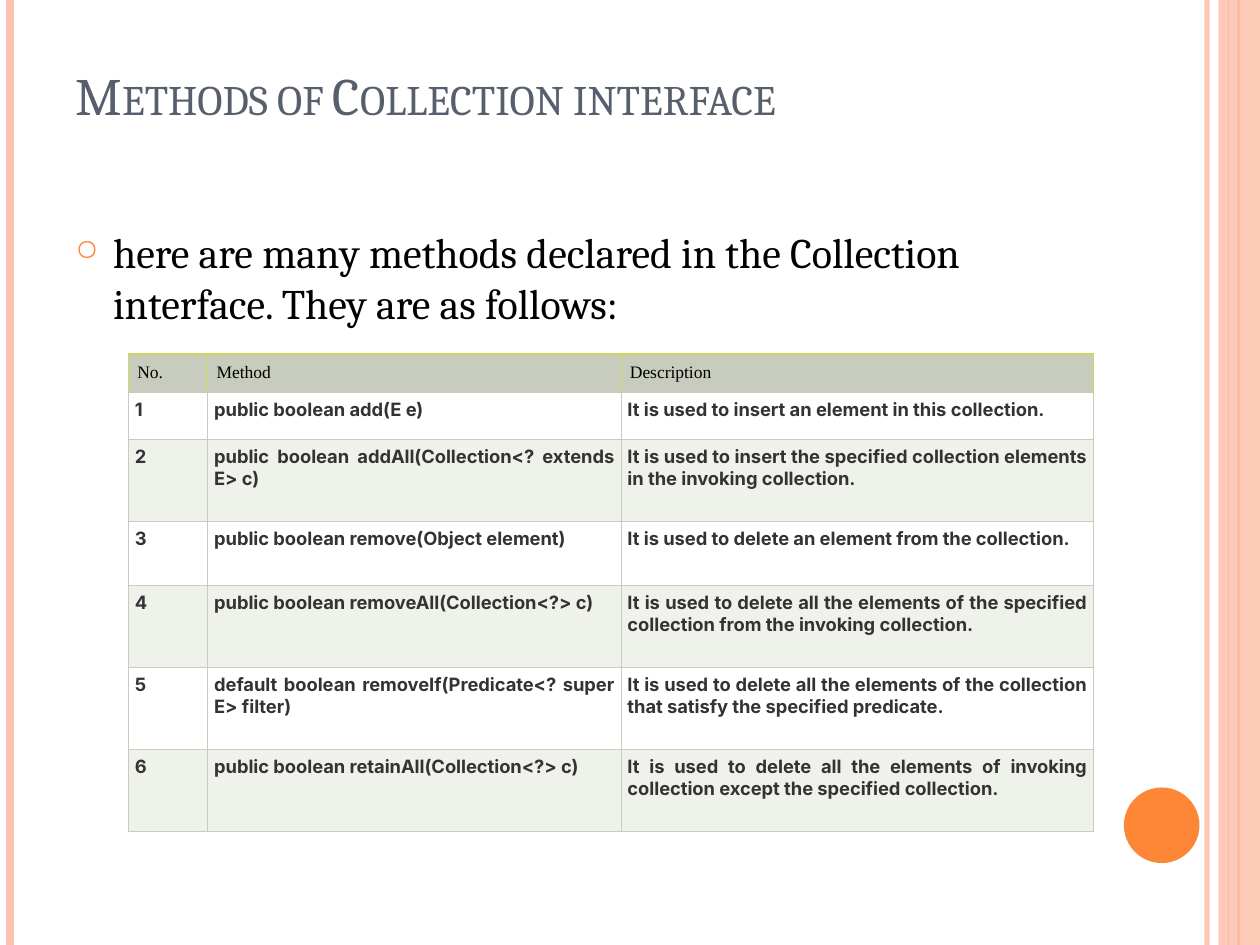
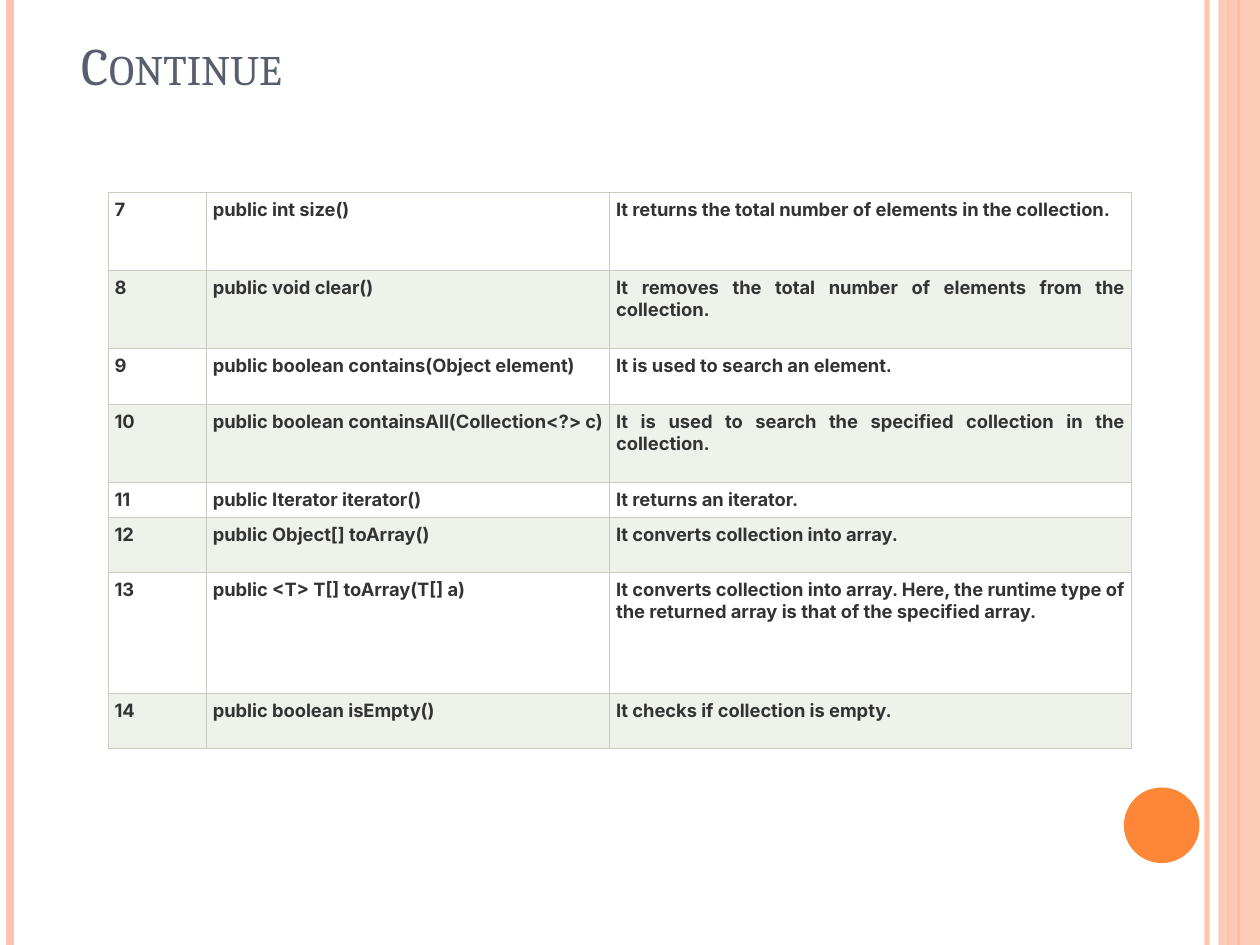
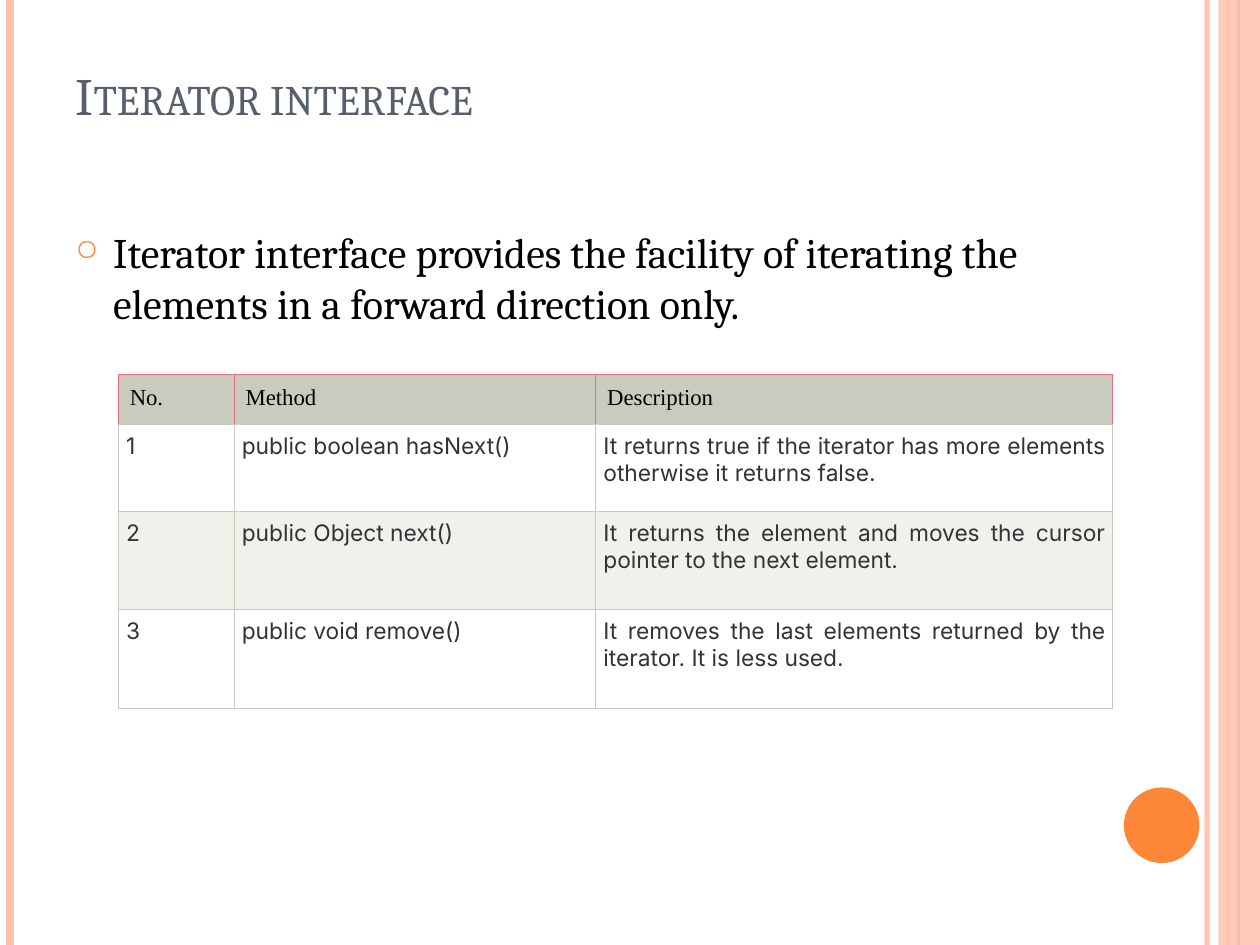
from dataclasses import dataclass
from lxml.etree import SubElement as Sub
from pptx import Presentation
from pptx.dml.color import RGBColor as Rgb
from pptx.enum.shapes import MSO_CONNECTOR as Link, MSO_SHAPE as Form
from pptx.enum.text import MSO_ANCHOR as Anchor, PP_ALIGN as Align
from pptx.oxml.ns import qn
from pptx.util import Inches, Pt


@dataclass(frozen=True)
class Theme:
    serif: str = "Cambria"
    sans: str = "Inter"
    roman: str = "Times New Roman"
    slate: str = "575F6D"
    black: str = "000000"
    ink: str = "333333"
    orange: str = "FE8637"
    peach: str = "FEC3AE"
    sage: str = "C7CCBE"
    pale: str = "EFF1EB"
    white: str = "FFFFFF"
    lime: str = "D0D65A"
    rose: str = "F06D7E"
    title: float = 30
    body: float = 24
    rule: float = 0.75


T = Theme()
WIDE, HIGH = 10, 7.5
HEAD = ("No.", "Method", "Description")

LINES = [
    (9.58, T.peach, 3, 93),
    (0.08, T.peach, 4.5, 100),
    (9.83, T.orange, 1.5, 100),
    (9.75, T.orange, 0.75, 100),
]
SHAPES = [
    (Form.RECTANGLE, (9.67, 0, 0.33, HIGH), T.peach, 87),
    (Form.OVAL, (8.92, 6.25, 0.6, 0.6), T.orange, 100),
]

SLIDES = [
    dict(
        title="Methods of Collection interface",
        box=(0.5, 0.3, 8.17, 1.25), drop=0.55,
        body="here are many methods declared in the Collection interface. "
             "They are as follows:",
        at=(1.02, 2.81), cols=(0.63, 3.28, 3.75),
        highs=(0.29, 0.37, 0.65, 0.51, 0.65, 0.65, 0.65),
        head=(10, 0.07, T.lime), cell=(10.5, 0.05, True), first=1,
        rows=[
            ("public boolean add(E e)",
             "It is used to insert an element in this collection."),
            ("public boolean addAll(Collection<? extends E> c)",
             "It is used to insert the specified collection elements in the "
             "invoking collection."),
            ("public boolean remove(Object element)",
             "It is used to delete an element from the collection."),
            ("public boolean removeAll(Collection<?> c)",
             "It is used to delete all the elements of the specified "
             "collection from the invoking collection."),
            ("default boolean removeIf(Predicate<? super E> filter)",
             "It is used to delete all the elements of the collection that "
             "satisfy the specified predicate."),
            ("public boolean retainAll(Collection<?> c)",
             "It is used to delete all the elements of invoking collection "
             "except the specified collection."),
        ],
    ),
    dict(
        title="Continue", box=(0.55, 0, 8.17, 0.81), drop=0.05, body=None,
        at=(0.86, 1.53), cols=(0.78, 3.2, 4.14),
        highs=(0.62, 0.62, 0.44, 0.62, 0.27, 0.44, 0.96, 0.44),
        head=None, cell=(10.5, 0.05, True), first=7,
        rows=[
            ("public int size()",
             "It returns the total number of elements in the collection."),
            ("public void clear()",
             "It removes the total number of elements from the collection."),
            ("public boolean contains(Object element)",
             "It is used to search an element."),
            ("public boolean containsAll(Collection<?> c)",
             "It is used to search the specified collection in the "
             "collection."),
            ("public Iterator iterator()", "It returns an iterator."),
            ("public Object[] toArray()",
             "It converts collection into array."),
            ("public <T> T[] toArray(T[] a)",
             "It converts collection into array. Here, the runtime type of "
             "the returned array is that of the specified array."),
            ("public boolean isEmpty()", "It checks if collection is empty."),
        ],
    ),
    dict(
        title="Iterator interface",
        box=(0.5, 0.3, 8.17, 1.25), drop=0.55,
        body="Iterator interface provides the facility of iterating the "
             "elements in a forward direction only.",
        at=(0.94, 2.97), cols=(0.92, 2.87, 4.1),
        highs=(0.4, 0.69, 0.78, 0.78),
        head=(13, 0.09, T.rose), cell=(13, 0.06, False), first=1,
        rows=[
            ("public boolean hasNext()",
             "It returns true if the iterator has more elements otherwise it "
             "returns false."),
            ("public Object next()",
             "It returns the element and moves the cursor pointer to the "
             "next element."),
            ("public void remove()",
             "It removes the last elements returned by the iterator. It is "
             "less used."),
        ],
    ),
]


def paint(fill, hue, alpha=100):
    fill.solid()
    fill.fore_color.rgb = Rgb.from_string(hue)
    if alpha < 100:
        tone = fill.fore_color._xFill[0]
        Sub(tone, qn("a:alpha")).set("val", str(alpha * 1000))


def write(para, text, face, size, hue, bold=False):
    run = para.add_run()
    run.text = text
    font = run.font
    font.name, font.size, font.bold = face, Pt(size), bold
    font.color.rgb = Rgb.from_string(hue)
    return run


def frame(layout, slide):
    items = []
    for x, hue, width, alpha in LINES:
        line = slide.shapes.add_connector(
            Link.STRAIGHT, Inches(x), 0, Inches(x), Inches(HIGH))
        line.line.width = Pt(width)
        paint(line.line.fill, hue, alpha)
        Sub(line.element.spPr, qn("a:effectLst"))
        items.append(line)
    for form, box, hue, alpha in SHAPES:
        shape = slide.shapes.add_shape(form, *map(Inches, box))
        shape.shadow.inherit = False
        paint(shape.fill, hue, alpha)
        shape.line.fill.background()
        items.append(shape)
    for num, item in enumerate(items, 20):
        item.element.xpath("./*/p:cNvPr")[0].set("id", str(num))
        layout.shapes.element.append(item.element)


def set_title(slide, page):
    shape = slide.shapes.title
    shape.left, shape.top, shape.width, shape.height = map(Inches, page["box"])
    text = shape.text_frame
    text.vertical_anchor = Anchor.BOTTOM
    text.margin_bottom = Inches(page["drop"])
    para = text.paragraphs[0]
    para.alignment = Align.LEFT
    run = write(para, page["title"], T.serif, T.title, T.slate)
    run.font._element.set("cap", "small")


def add_body(slide, words):
    text = slide.shapes.add_textbox(
        *map(Inches, (0.5, 1.75, 8.17, 5.33))).text_frame
    text.word_wrap = True
    para = text.paragraphs[0]
    para.space_before = Pt(6)
    props = para._p.get_or_add_pPr()
    props.set("marL", str(Inches(0.3)))
    props.set("indent", str(Inches(-0.3)))
    Sub(Sub(props, qn("a:buClr")), qn("a:srgbClr")).set("val", T.orange)
    Sub(props, qn("a:buSzPct")).set("val", "70000")
    Sub(props, qn("a:buChar")).set("char", "○")
    write(para, words, T.serif, T.body, T.black)


def edge(cell, hues):
    props = cell._tc.get_or_add_tcPr()
    for spot, (side, hue) in enumerate(zip("LRTB", hues)):
        line = Sub(props, qn("a:ln" + side), w=str(Pt(T.rule)))
        Sub(Sub(line, qn("a:solidFill")), qn("a:srgbClr")).set("val", hue)
        props.insert(spot, line)


def fill_cell(cell, words, face, size, hue, bold, inset, back, hues, align):
    cell.margin_left = cell.margin_right = Inches(inset)
    cell.margin_top = cell.margin_bottom = Inches(inset)
    para = cell.text_frame.paragraphs[0]
    para.alignment = align
    write(para, words, face, size, hue, bold)
    paint(cell.fill, back)
    edge(cell, hues)


def add_grid(slide, page):
    cols, highs, head = page["cols"], page["highs"], page["head"]
    table = slide.shapes.add_table(
        len(highs), len(cols), *map(Inches, page["at"]),
        Inches(sum(cols)), Inches(sum(highs))).table
    table.first_row, table.horz_banding = bool(head), False
    for col, width in zip(table.columns, cols):
        col.width = Inches(width)
    for row, high in zip(table.rows, highs):
        row.height = Inches(high)
    if head:
        size, inset, hue = head
        for col, words in enumerate(HEAD):
            fill_cell(table.cell(0, col), words, T.roman, size, T.black,
                      False, inset, T.sage, (hue, hue, hue, T.sage),
                      Align.LEFT)
    size, inset, bold = page["cell"]
    for num, pair in enumerate(page["rows"]):
        back = T.pale if num % 2 else T.white
        for col, words in enumerate((str(page["first"] + num), *pair)):
            fill_cell(table.cell(num + bool(head), col), words, T.sans, size,
                      T.ink, bold, inset, back, (T.sage,) * 4, Align.JUSTIFY)


deck = Presentation()
deck.slide_width, deck.slide_height = Inches(WIDE), Inches(HIGH)
layout = deck.slide_layouts.get_by_name("Title Only")
paint(deck.slide_master.background.fill, T.white)
for num, page in enumerate(SLIDES):
    slide = deck.slides.add_slide(layout)
    if num == 0:
        frame(layout, slide)
    set_title(slide, page)
    if page["body"]:
        add_body(slide, page["body"])
    add_grid(slide, page)
deck.save("out.pptx")
